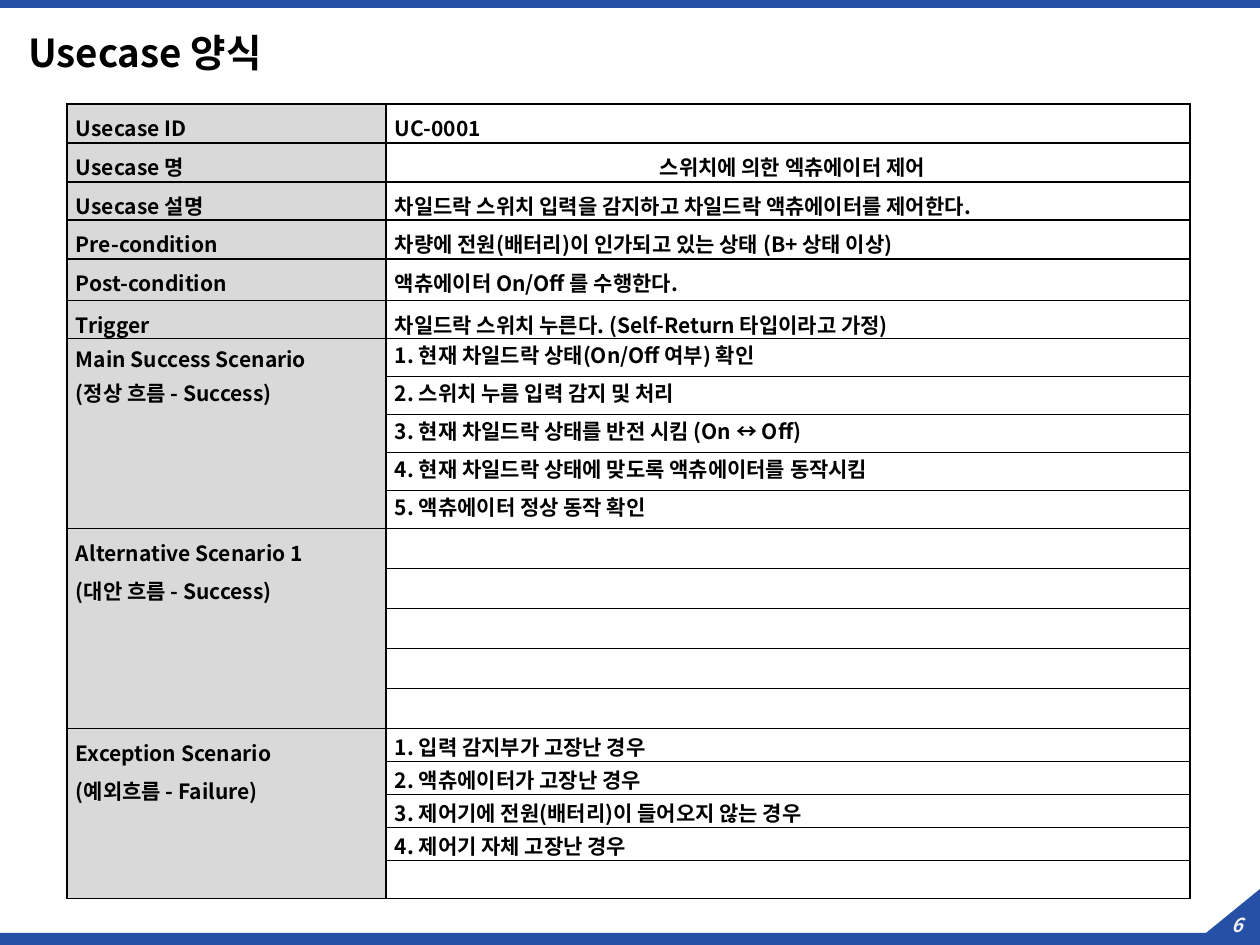
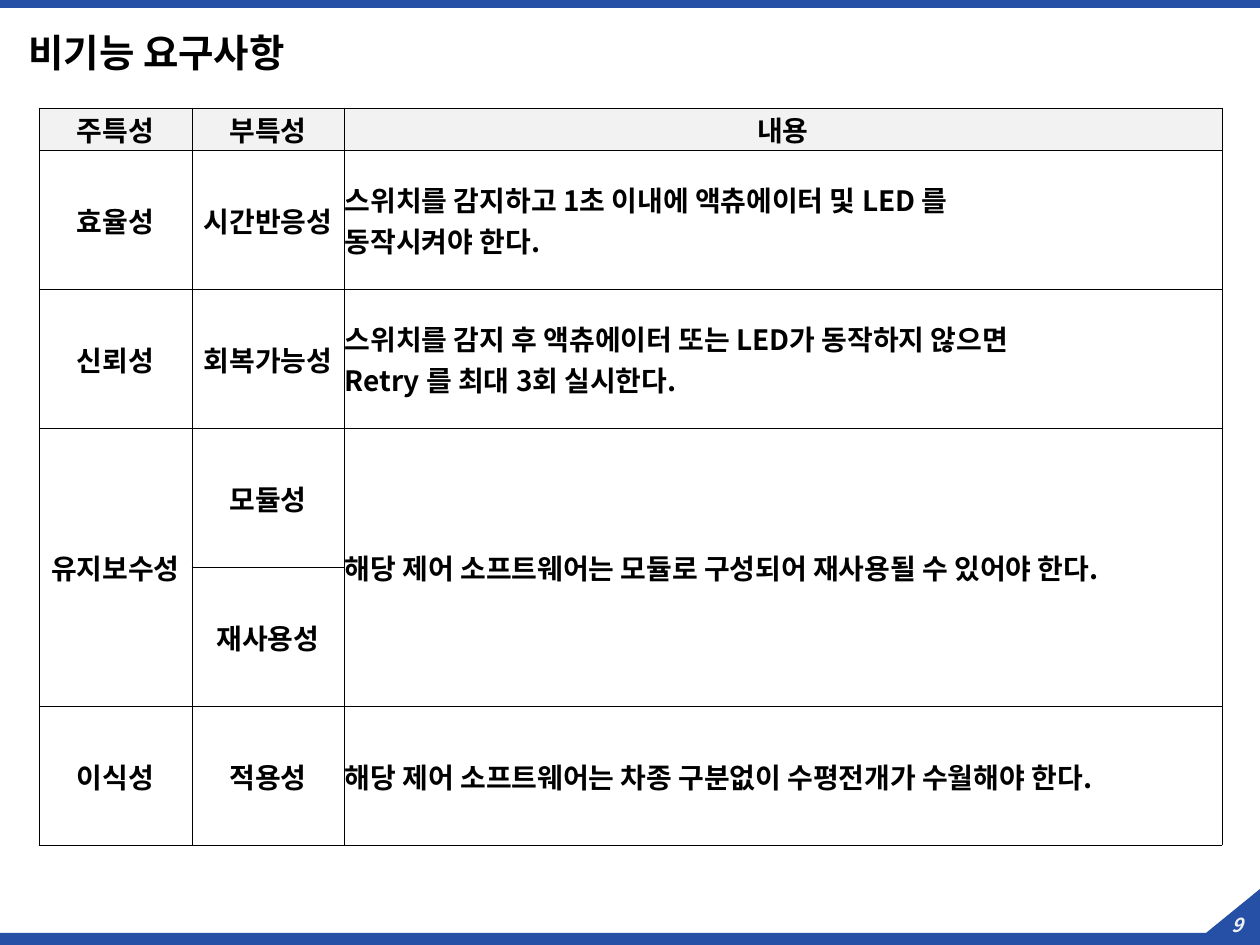
"""Build the use case form and the table of non-functional requirements."""
from lxml.etree import SubElement
from pptx import Presentation
from pptx.dml.color import RGBColor as Rgb
from pptx.enum.shapes import MSO_SHAPE as Kind
from pptx.enum.text import MSO_ANCHOR as Anchor, PP_ALIGN as Align
from pptx.oxml.ns import qn
from pptx.util import Pt

PX = 7257
FONT = "Noto Sans CJK KR"
HUE = {"blue": "2550A6", "ink": "000000", "pale": "F2F2F2", "gray": "D9D9D9"}


def write(frame, text, size, hue="ink", align=Align.LEFT, lead=None, gap=0):
    """Fill a text frame, one paragraph for each line of text."""
    frame.text = text
    for row, para in enumerate(frame.paragraphs):
        para.alignment = align
        if lead:
            para.line_spacing = lead
        if row and gap:
            para.space_before = Pt(gap)
        font = para.font
        font.size, font.bold, font.name = Pt(size), True, FONT
        font.color.rgb = Rgb.from_string(HUE[hue])
        props = para._p.pPr.find(qn("a:defRPr"))
        SubElement(props, qn("a:ea"), typeface=FONT)


def grid(slide, left, top, cols, rows, line, pads):
    """Add a plain ruled table with the given column widths and row heights."""
    table = slide.shapes.add_table(
        len(rows), len(cols), left * PX, top * PX, sum(cols) * PX, sum(rows) * PX
    ).table
    table.first_row = table.horz_banding = False
    for col, width in zip(table.columns, cols):
        col.width = width * PX
    for row, height in zip(table.rows, rows):
        row.height = height * PX
    for cell in table.iter_cells():
        cell.margin_left, cell.margin_top, cell.margin_right = [p * PX for p in pads]
        cell.margin_bottom = 0
        props = cell._tc.get_or_add_tcPr()
        for side in ("lnL", "lnR", "lnT", "lnB"):
            edge = SubElement(props, qn("a:" + side), w=str(Pt(line)))
            SubElement(SubElement(edge, qn("a:solidFill")), qn("a:srgbClr"), val=HUE["ink"])
        cell.fill.background()
    return table


deck = Presentation()
deck.slide_width, deck.slide_height = 1260 * PX, 945 * PX
slides = []

for title, num in (("Usecase 양식", "6"), ("비기능 요구사항", "9")):
    slide = deck.slides.add_slide(deck.slide_layouts[6])
    slides.append(slide)
    band = slide.shapes.add_shape(Kind.RECTANGLE, 0, 0, 1260 * PX, 8 * PX)
    edge = slide.shapes.build_freeform(1260, 889, scale=PX)
    edge.add_line_segments([(1260, 945), (0, 945), (0, 933), (1206, 933)])
    for shape in (band, edge.convert_to_shape()):
        shape.shadow.inherit = False
        shape.fill.solid()
        shape.fill.fore_color.rgb = Rgb.from_string(HUE["blue"])
        shape.line.fill.background()

    page = slide.shapes.add_textbox(1211 * PX, 906 * PX, 53 * PX, 37 * PX).text_frame
    page.margin_left = page.margin_top = page.margin_right = page.margin_bottom = 0
    write(page, num, 11, "pale", Align.CENTER)
    page.paragraphs[0].font.italic = True
    head = slide.shapes.add_textbox(16 * PX, 26 * PX, 1193 * PX, 58 * PX).text_frame
    write(head, title, 22, lead=0.9)
    for frame in (page, head):
        frame.word_wrap = True
        frame.vertical_anchor = Anchor.MIDDLE

facts = [
    (39, "Usecase ID", "UC-0001"),
    (39, "Usecase 명", "스위치에 의한 엑츄에이터 제어"),
    (38, "Usecase 설명", "차일드락 스위치 입력을 감지하고 차일드락 액츄에이터를 제어한다."),
    (39, "Pre-condition", "차량에 전원(배터리)이 인가되고 있는 상태 (B+ 상태 이상)"),
    (42, "Post-condition", "액츄에이터 On/Off 를 수행한다."),
    (38, "Trigger", "차일드락 스위치 누른다. (Self-Return 타입이라고 가정)"),
]
flows = [
    ("Main Success Scenario\n(정상 흐름 - Success)", 10, Pt(13.9), 5.6, 6, Pt(14.3), [
        "1. 현재 차일드락 상태(On/Off 여부) 확인",
        "2. 스위치 누름 입력 감지 및 처리",
        "3. 현재 차일드락 상태를 반전 시킴 (On ↔ Off)",
        "4. 현재 차일드락 상태에 맞도록 액츄에이터를 동작시킴",
        "5. 액츄에이터 정상 동작 확인",
    ]),
    ("Alternative Scenario 1\n(대안 흐름 - Success)", 8, None, 4.7, 0, None, [""] * 5),
    ("Exception Scenario\n(예외흐름 - Failure)", 8, None, 4.7, 8, Pt(14.2), [
        "1. 입력 감지부가 고장난 경우",
        "2. 액츄에이터가 고장난 경우",
        "3. 제어기에 전원(배터리)이 들어오지 않는 경우",
        "4. 제어기 자체 고장난 경우",
        "",
    ]),
]
highs = [fact[0] for fact in facts] + [38] * 5 + [40] * 5 + [33] * 4 + [38]
form = grid(slides[0], 67, 104, [319, 804], highs, 0.75, (9, 8, 0))

for row, (high, label, text) in enumerate(facts):
    write(form.cell(row, 0).text_frame, label, 12)
    align = Align.CENTER if label == "Usecase 명" else Align.LEFT
    write(form.cell(row, 1).text_frame, text, 12, align=align)

for part, (label, pad, lead, gap, inset, pitch, steps) in enumerate(flows):
    first = len(facts) + 5 * part
    name = form.cell(first, 0)
    name.merge(form.cell(first + 4, 0))
    name.margin_top = pad * PX
    write(name.text_frame, label, 12, lead=lead, gap=gap)
    for row, step in enumerate(steps, first):
        cell = form.cell(row, 1)
        cell.margin_top = (inset if step else 0) * PX
        write(cell.text_frame, step, 12, lead=pitch)

for row in range(len(highs)):
    fill = form.cell(row, 0).fill
    fill.solid()
    fill.fore_color.rgb = Rgb.from_string(HUE["gray"])

needs = [
    ("주특성", "부특성", "내용"),
    ("효율성", "시간반응성", "스위치를 감지하고 1초 이내에 액츄에이터 및 LED 를\n동작시켜야 한다."),
    ("신뢰성", "회복가능성",
     "스위치를 감지 후 액츄에이터 또는 LED가 동작하지 않으면\nRetry 를 최대 3회 실시한다."),
    ("유지보수성", "모듈성", "해당 제어 소프트웨어는 모듈로 구성되어 재사용될 수 있어야 한다."),
    (None, "재사용성", None),
    ("이식성", "적용성", "해당 제어 소프트웨어는 차종 구분없이 수평전개가 수월해야 한다."),
]
chart = grid(slides[1], 39, 108, [153, 152, 878], [42] + [139] * 5, 0.5, (1, 1, 1))
for col in (0, 2):
    chart.cell(3, col).merge(chart.cell(4, col))
for row, texts in enumerate(needs):
    for col, text in enumerate(texts):
        if text is None:
            continue
        cell = chart.cell(row, col)
        cell.vertical_anchor = Anchor.MIDDLE
        align = Align.LEFT if row and col == 2 else Align.CENTER
        write(cell.text_frame, text, 16, align=align)
        if row == 0:
            cell.fill.solid()
            cell.fill.fore_color.rgb = Rgb.from_string(HUE["pale"])

deck.save("out.pptx")
